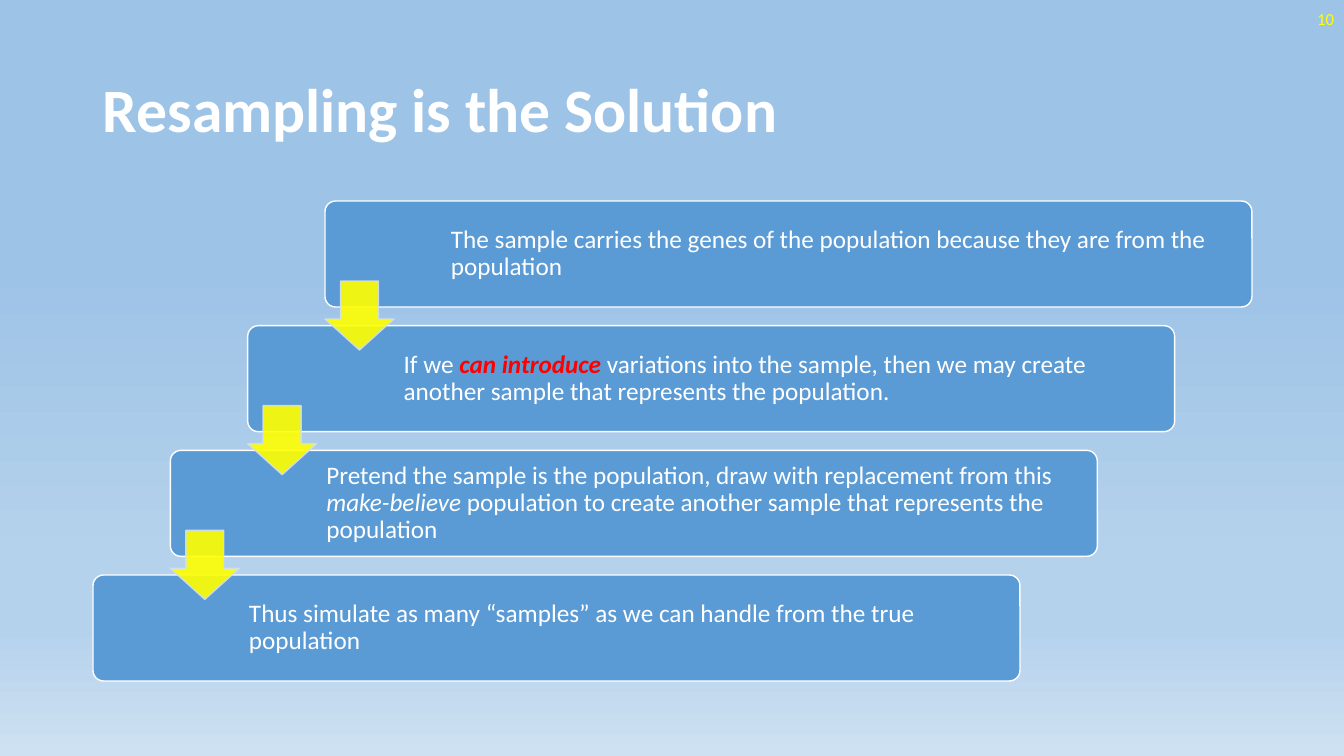
from lxml.etree import SubElement
from pptx import Presentation
from pptx.dml.color import RGBColor
from pptx.enum.shapes import MSO_SHAPE as Shape
from pptx.enum.text import MSO_ANCHOR as Anchor, PP_ALIGN as Align
from pptx.oxml.ns import qn
from pptx.util import Emu, Pt

WHITE = RGBColor(0xFF, 0xFF, 0xFF)
YELLOW = RGBColor(0xFF, 0xFF, 0x00)
RED = RGBColor(0xFF, 0x00, 0x00)
BLUE = RGBColor(0x5B, 0x9B, 0xD5)
PALE_BLUE = RGBColor(0xD2, 0xDE, 0xEF)
SKY = [(35, RGBColor(0x9D, 0xC3, 0xE6)), (74, RGBColor(0xB5, 0xD2, 0xEC)),
       (83, RGBColor(0xB5, 0xD2, 0xEC)), (100, RGBColor(0xCE, 0xE1, 0xF2))]

FONT = "Calibri"
SLIDE_WIDTH, SLIDE_HEIGHT = 1344, 756
ARROW_SIZE, ARROW_DROP = 69, 80
TEXT_MARGIN = 3

PLAIN, ITALIC, WARNING = "plain", "italic", "warning"
STEPS = [
    (119, [("The sample carries the genes of the population because they are "
            "from the population", PLAIN)]),
    (149, [("If we ", PLAIN), ("can introduce", WARNING),
           (" variations into the sample, then we may create another sample "
            "that represents the population.", PLAIN)]),
    (149, [("Pretend the sample is the population, draw with replacement from "
            "this ", PLAIN), ("make-believe", ITALIC),
           (" population to create another sample that represents the "
            "population", PLAIN)]),
    (149, [("Thus simulate as many “samples” as we can handle from the true "
            "population", PLAIN)]),
]


def px(length):
    """Turn pixels into EMU."""
    return Emu(round(length * 12192000 / SLIDE_WIDTH))


def paint_sky(slide):
    """Fill the background with a gradient from top to bottom."""
    fill = slide.background.fill
    fill.gradient()
    fill.gradient_angle = 270
    stops = slide.element.find(".//" + qn("a:gsLst"))
    for old_stop in list(stops):
        stops.remove(old_stop)
    for percent, color in SKY:
        stop = SubElement(stops, qn("a:gs"), pos=str(percent * 1000))
        SubElement(stop, qn("a:srgbClr"), val=str(color))


def add_text(slide, box, runs, size, color, inset=None):
    """Write one vertically centred paragraph and return it."""
    frame = slide.shapes.add_textbox(*map(px, box)).text_frame
    frame.word_wrap = True
    frame.vertical_anchor = Anchor.MIDDLE
    if inset is not None:
        frame.margin_left = frame.margin_right = px(inset)
        frame.margin_top = frame.margin_bottom = px(inset)
    paragraph = frame.paragraphs[0]
    paragraph.line_spacing = 0.9
    paragraph.font.name = FONT
    paragraph.font.size = Pt(size)
    for words, style in runs:
        run = paragraph.add_run()
        run.text = words
        run.font.color.rgb = RED if style == WARNING else color
        if style != PLAIN:
            run.font.italic = True
        if style == WARNING:
            run.font.bold = True
    return paragraph


def add_block(slide, kind, box, adjustments, fill, line):
    """Draw an outlined preset shape and return it."""
    block = slide.shapes.add_shape(kind, *map(px, box))
    for index, value in enumerate(adjustments):
        block.adjustments[index] = value
    block.shadow.inherit = False
    block.fill.solid()
    block.fill.fore_color.rgb = fill
    block.line.color.rgb = line
    block.line.width = Pt(1)
    return block


def add_heading(slide, box):
    """Write the slide title."""
    title = add_text(slide, box, [("Resampling is the Solution", PLAIN)], 44, WHITE)
    title.font.bold = True


def add_page_number(slide, box):
    """Write the page number at the right edge of its box."""
    number = add_text(slide, box, [("10", PLAIN)], 12, YELLOW)
    number.alignment = Align.RIGHT


def add_step(slide, box, text_offset, runs):
    """Draw one step with its words."""
    left, top, width, height = box
    add_block(slide, Shape.ROUNDED_RECTANGLE, box, [0.1], BLUE, WHITE)
    words_box = (left + text_offset, top + TEXT_MARGIN,
                 width - text_offset - TEXT_MARGIN, height - 2 * TEXT_MARGIN)
    add_text(slide, words_box, runs, 18, WHITE, inset=7)


def add_down_arrow(slide, box):
    """Draw a slightly transparent arrow to the next step."""
    arrow = add_block(slide, Shape.DOWN_ARROW, box, [0.45, 0.55], YELLOW, PALE_BLUE)
    arrow.adjustments[0], arrow.adjustments[1] = 0.55, 0.45
    for color in arrow.element.spPr.iter(qn("a:srgbClr")):
        SubElement(color, qn("a:alpha"), val="90000")


def add_staircase(slide, box):
    """Lay the steps from top right to bottom left, joined by arrows."""
    left, top, width, height = box
    step_width, step_height = 927, 106
    last = len(STEPS) - 1
    shift = (width - step_width) / last
    drop = (height - step_height) / last
    corners = [(left + (last - i) * shift, top + i * drop) for i in range(last + 1)]
    for (x, y), (text_offset, runs) in zip(corners, STEPS):
        add_step(slide, (x, y, step_width, step_height), text_offset, runs)
    for x, y in corners[:last]:
        add_down_arrow(slide, (x, y + ARROW_DROP, ARROW_SIZE, ARROW_SIZE))


def main():
    """Build the slide and save it."""
    deck = Presentation()
    deck.slide_width, deck.slide_height = px(SLIDE_WIDTH), px(SLIDE_HEIGHT)
    slide = deck.slides.add_slide(deck.slide_layouts[6])
    paint_sky(slide)
    add_heading(slide, (93, 40, 1159, 146))
    add_page_number(slide, (1041, 0, 303, 40))
    add_staircase(slide, (93, 201, 1159, 480))
    deck.save("out.pptx")


if __name__ == "__main__":
    main()
